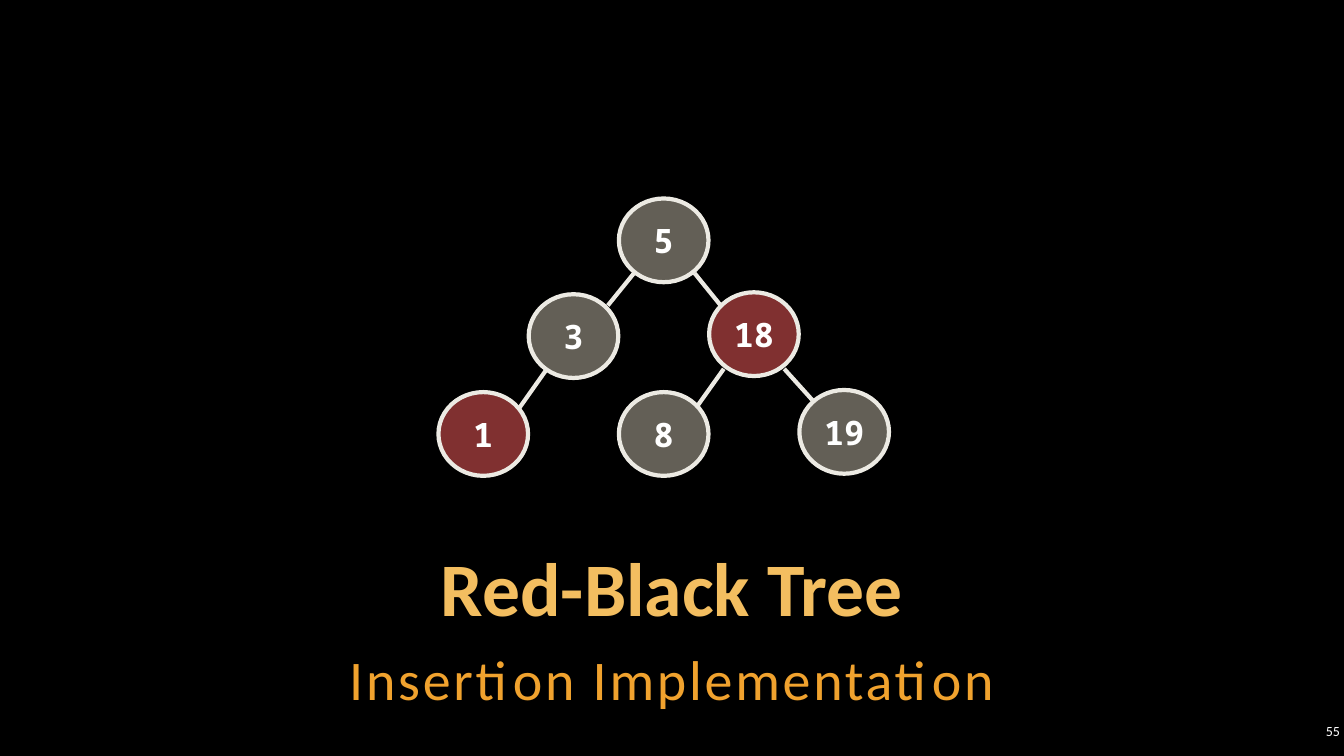
from dataclasses import dataclass

from lxml import etree
from pptx import Presentation
from pptx.dml.color import RGBColor
from pptx.enum import shapes, text
from pptx.oxml import ns
from pptx.util import Pt


@dataclass(frozen=True)
class Theme:
    """Colours, fonts and sizes of the slide."""
    back: str = "000000"
    title: str = "F3BE60"
    subtitle: str = "F0A22E"
    white: str = "FFFFFF"
    outline: str = "ECEAE3"
    black_node: str = "C7BFAC"
    red_node: str = "FF6161"
    sans: str = "Calibri"
    mono: str = "Noto Sans Mono"
    title_size: int = 54
    subtitle_size: int = 40
    node_size: int = 24
    number_size: int = 10
    line_width: int = 3
    node_alpha: int = 50


T = Theme()
ALIGN, ANCHOR = text.PP_ALIGN, text.MSO_ANCHOR
NODE_W, NODE_H = 64, 59.8
TREE_LEFT, COLUMN_STEP = 313.2, 64.45

NODES = [
    ("19", 4, 278.6, T.black_node),
    ("3", 1, 210.2, T.black_node),
    ("1", 0, 280.1, T.red_node),
    ("5", 2, 141.8, T.black_node),
    ("18", 3, 208.8, T.red_node),
    ("8", 2, 280.1, T.black_node),
]
EDGES = [
    (452.9, 195.1, 434.2, 218.2),
    (496.1, 195.1, 514.8, 218.2),
    (390.2, 264.2, 370.8, 291.6),
    (517, 263.5, 497.5, 290.9),
    (560.2, 263.5, 580.3, 285.8),
]


def apply(obj, values):
    """Set each named attribute of an object."""
    for name, value in values.items():
        setattr(obj, name, value)


def write(sp, words, size, colour, font=T.sans, bold=False, spacing=0,
          frame=None, para=None):
    """Write one formatted line of text in a shape."""
    tf = sp.text_frame
    apply(tf, {"auto_size": text.MSO_AUTO_SIZE.NONE, "word_wrap": True, **(frame or {})})
    p = tf.paragraphs[0]
    apply(p, {"alignment": ALIGN.CENTER, **(para or {})})
    r = p.add_run()
    r.text = words
    apply(r.font, {"name": font, "size": Pt(size), "bold": bold})
    r.font.color.rgb = RGBColor.from_string(colour)
    if spacing:
        r.font._element.set("spc", str(spacing * 100))


def outline(line):
    """Give a line the tree's colour and width."""
    line.color.rgb = RGBColor.from_string(T.outline)
    line.width = Pt(T.line_width)


def add_caption(s, box, words, size, colour, frame=None, **style):
    """Add a text box with narrow margins."""
    sp = s.shapes.add_textbox(*map(Pt, box))
    write(sp, words, size, colour, frame={**margins(), **(frame or {})}, **style)


def margins():
    """Return the narrow margins of the captions."""
    return {f"margin_{side}": Pt(2.88) for side in ("left", "top", "right", "bottom")}


def add_title(s, box, words):
    """Place and fill the title placeholder."""
    sp = s.shapes.title
    apply(sp, dict(zip(("left", "top", "width", "height"), map(Pt, box))))
    write(sp, words, T.title_size, T.title, bold=True,
          frame={**margins(), "vertical_anchor": ANCHOR.BOTTOM},
          para={"line_spacing": 0.9})


def add_node(s, key, column, top, colour):
    """Add a translucent tree node with its key."""
    left = TREE_LEFT + column * COLUMN_STEP
    sp = s.shapes.add_shape(shapes.MSO_SHAPE.OVAL, *map(Pt, (left, top, NODE_W, NODE_H)))
    sp.shadow.inherit = False
    sp.fill.solid()
    sp.fill.fore_color.rgb = RGBColor.from_string(colour)
    fill = sp._element.spPr.find(ns.qn("a:solidFill"))
    etree.SubElement(fill[0], ns.qn("a:alpha"), val=str(T.node_alpha * 1000))
    outline(sp.line)
    write(sp, key, T.node_size, T.white, T.mono, True,
          frame={"word_wrap": False, "vertical_anchor": ANCHOR.MIDDLE})


def add_edge(s, *ends):
    """Add a line between two nodes."""
    line = s.shapes.add_connector(shapes.MSO_CONNECTOR.STRAIGHT, *map(Pt, ends))
    outline(line.line)
    etree.SubElement(line._element.spPr, ns.qn("a:effectLst"))


def main():
    """Build and save the slide."""
    prs = Presentation()
    apply(prs, {"slide_width": Pt(960), "slide_height": Pt(540)})
    s = prs.slides.add_slide(prs.slide_layouts[5])
    s.background.fill.solid()
    s.background.fill.fore_color.rgb = RGBColor.from_string(T.back)
    add_title(s, (72, 390.2, 816, 64.8), "Red-Black Tree")
    add_caption(s, (72, 452.9, 816, 56.9), "Insertion Implementation",
                T.subtitle_size, T.subtitle, spacing=2,
                para={"line_spacing": 1.1, "space_after": Pt(6)})
    add_caption(s, (926, 514, 34, 16), "55", T.number_size, T.white,
                frame={"vertical_anchor": ANCHOR.MIDDLE},
                para={"alignment": ALIGN.RIGHT})
    for edge in EDGES:
        add_edge(s, *edge)
    for node in NODES:
        add_node(s, *node)
    prs.save("out.pptx")


if __name__ == "__main__":
    main()
